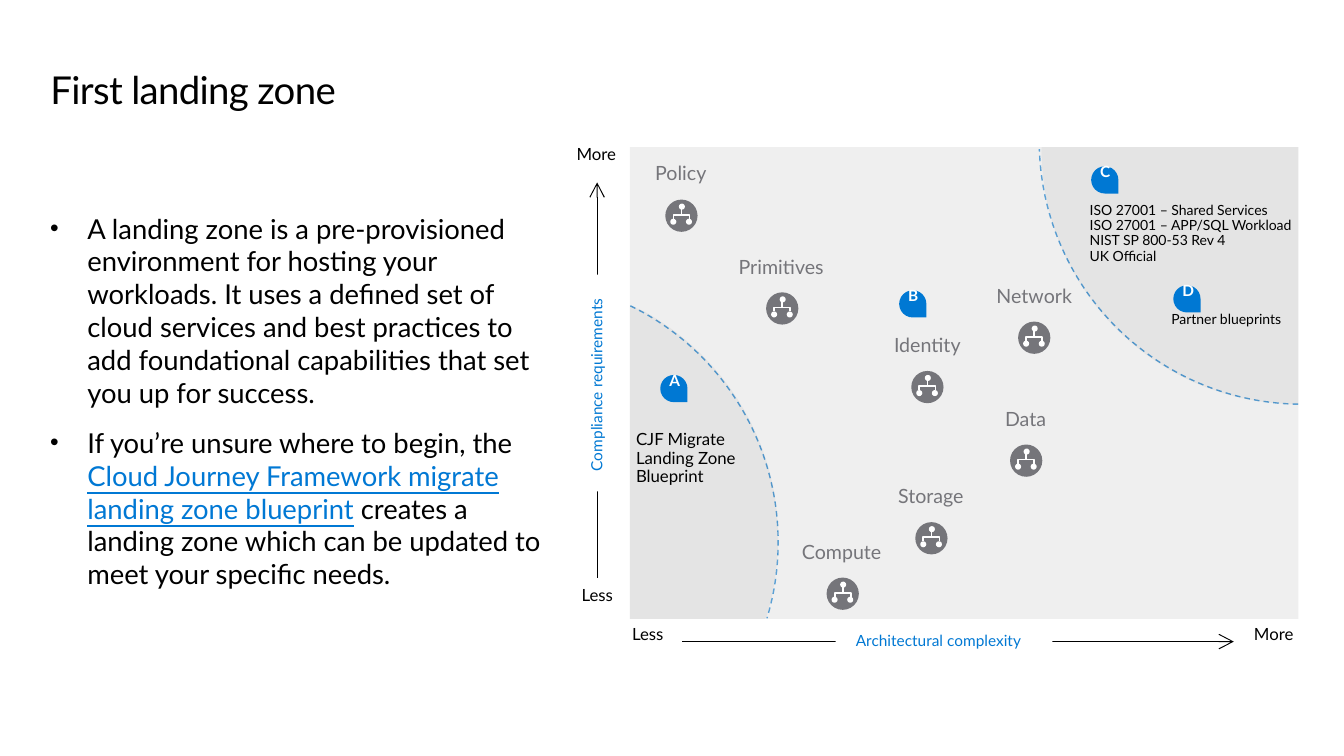
import pptx
import pptx.dml.color
import pptx.enum.dml
import pptx.enum.shapes
import pptx.enum.text
import pptx.oxml
import pptx.oxml.ns
import pptx.util

CELL = pptx.util.Inches(0.1)
COLUMNS, ROWS = 133.33, 75
BLACK, WHITE, GREY, BLUE, LINK, ZONE = "000000", "FFFFFF", "75757A", "0078D3", "0078D4", "BFBFBF"
SHAPES = pptx.enum.shapes.MSO_SHAPE
LEFT = pptx.enum.text.PP_ALIGN.LEFT
CENTER = pptx.enum.text.PP_ALIGN.CENTER
GROW = pptx.enum.text.MSO_AUTO_SIZE.SHAPE_TO_FIT_TEXT
FIXED = pptx.enum.text.MSO_AUTO_SIZE.NONE
MAP_LEFT, MAP_TOP, MAP_RIGHT, MAP_BOTTOM = 62.5, 14.6, 128.8, 61.4
SIMPLE_EDGE = [(62.5, 30.3), (63.9, 30.9), (71.8, 35.3), (77.2, 43.7), (77.2, 53.4),
               (77.2, 56), (76.8, 58.6), (76.1, 61), (75.9, MAP_BOTTOM)]
COMPLEX_EDGE = [(103.3, MAP_TOP), (103.3, 28.7), (114.7, 40.1), (MAP_RIGHT, 40.1)]


def grid(*cells):
    return [round(cell * CELL) for cell in cells]


def apply(target, values):
    for name, value in values.items():
        setattr(target, name, value)


def paint(fill, color):
    fill.solid()
    fill.fore_color.rgb = pptx.dml.color.RGBColor.from_string(color)


def add_xml(parent, tag, **attributes):
    element = pptx.oxml.parse_xml(f"<a:{tag} {pptx.oxml.ns.nsdecls('a')}/>")
    for name, value in attributes.items():
        element.set(name, str(value))
    parent.append(element)


def write(shape, paragraphs, size, color=BLACK, bold=None, align=LEFT, spacing=0.9, after=6,
          inset=(2, 1.6), wrap=False, fit=GROW, anchor=pptx.enum.text.MSO_ANCHOR.TOP, bullet=False):
    side, edge = grid(*inset)
    frame = shape.text_frame
    apply(frame, {"margin_left": side, "margin_right": side, "margin_top": edge,
                  "margin_bottom": edge, "word_wrap": wrap, "auto_size": fit,
                  "vertical_anchor": anchor})
    for index, spans in enumerate(paragraphs):
        para = frame.paragraphs[0] if index == 0 else frame.add_paragraph()
        if bullet:
            properties = para._p.get_or_add_pPr()
            indent, = grid(3.7)
            properties.set("marL", str(indent))
            properties.set("indent", str(-indent))
            add_xml(properties, "buSzPct", val=90000)
            add_xml(properties, "buFont", typeface="Arial")
            add_xml(properties, "buChar", char="•")
        apply(para, {"alignment": align, "line_spacing": spacing,
                     "space_before": pptx.util.Pt(0), "space_after": pptx.util.Pt(after)})
        for text, linked in spans:
            span = para.add_run()
            span.text = text
            apply(span.font, {"name": "Lato", "size": pptx.util.Pt(size), "bold": bold,
                              "underline": linked or None})
            paint(span.font.fill, LINK if linked else color)


def label(page, text, place, size=12, **style):
    box = page.shapes.add_textbox(*grid(*place))
    write(box, [[(line, False)] for line in text.split("\n")], size, **style)


def solid(page, kind, place, color, rotation=0):
    shape = page.shapes.add_shape(kind, *grid(*place))
    shape.shadow.inherit = False
    shape.rotation = rotation
    shape.line.fill.background()
    paint(shape.fill, color)
    return shape


def outline(page, kind, place, color, width, adjustments, rotation=0):
    shape = page.shapes.add_shape(kind, *grid(*place))
    shape.shadow.inherit = False
    shape.rotation = rotation
    shape.fill.background()
    paint(shape.line.fill, color)
    shape.line.width = pptx.util.Pt(width)
    for index, value in enumerate(adjustments):
        shape.adjustments[index] = value
    return shape


def boundary(page, left, top, adjustments):
    arc = outline(page, SHAPES.ARC, (left, top, 52.2, 52.2), BLUE, 1, adjustments)
    arc.line.dash_style = pptx.enum.dml.MSO_LINE.DASH


def connect(page, ends, color, width, arrow=False):
    line = page.shapes.add_connector(pptx.enum.shapes.MSO_CONNECTOR.STRAIGHT, *grid(*ends))
    paint(line.line.fill, color)
    line.line.width = pptx.util.Pt(width)
    if arrow:
        add_xml(line.line._get_or_add_ln(), "tailEnd", type="arrow", w="lg", len="lg")
    add_xml(line._element.spPr, "effectLst")


def zone(page, points, curve_starts, color):
    corners = [grid(*point) for point in points]
    builder = page.shapes.build_freeform(*corners[0])
    builder.add_line_segments(corners[1:], close=True)
    shape = builder.convert_to_shape()
    shape.shadow.inherit = False
    shape.line.fill.background()
    paint(shape.fill, color)
    add_xml(shape._element.spPr.xpath("./a:solidFill/a:srgbClr")[0], "alpha", val=42000)
    segments = list(shape._element.spPr.xpath(".//a:path")[0])
    for start in curve_starts:
        segments[start].tag = pptx.oxml.ns.qn("a:cubicBezTo")
        for segment in segments[start + 1:start + 3]:
            segments[start].append(segment[0])
            segment.getparent().remove(segment)


def axis(page, ends, caption, place, rotation=0):
    connect(page, ends, BLACK, 0.75, arrow=True)
    plate = solid(page, SHAPES.RECTANGLE, place, WHITE, rotation)
    write(plate, [[(caption, False)]], 11, BLUE, fit=FIXED,
          anchor=pptx.enum.text.MSO_ANCHOR.MIDDLE)


def marker(page, letter, left, top):
    solid(page, SHAPES.TEAR, (left, top, 2.7, 2.7), BLUE, 90)
    label(page, letter, (left - 1.1, top - 1, 5, 4.9), 11, color=WHITE, bold=True)


def service(page, name, text_left, text_top, text_width, left, top):
    align = LEFT if name == "Policy" else CENTER
    label(page, name, (text_left, text_top, text_width, 5.4), 14, color=GREY, align=align)
    solid(page, SHAPES.OVAL, (left, top, 3.2, 3.2), GREY)
    outline(page, SHAPES.LEFT_BRACKET, (left + 1.4, top + 0.9, 0.4, 1.6), WHITE, 1.25, [0], 90)
    connect(page, (left + 1.6, top + 1.5, left + 1.6, top + 0.8), WHITE, 1.25)
    for across, down in ((0.5, 1.9), (2.05, 1.9), (1.35, 0.4)):
        solid(page, SHAPES.OVAL, (left + across, top + down, 0.6, 0.6), WHITE)


def add_title(page):
    title = page.shapes.title
    apply(title, dict(zip(("left", "top", "width", "height"), grid(5, 6.8, 123.6, 4.4))))
    write(title, [[("First landing zone", False)]], 27.4, spacing=pptx.util.Pt(31.4),
          after=0, inset=(0, 0), wrap=True)
    title.text_frame.paragraphs[0].runs[0].font._element.set("spc", "-45")


def add_story(page):
    story = page.shapes.add_textbox(*grid(4.97, 21, 49.2, 43))
    write(story, [
        [("A landing zone is a pre-provisioned environment for hosting your workloads. It uses a "
          "defined set of cloud services and best practices to add foundational capabilities that "
          "set you up for success.", False)],
        [("If you’re unsure where to begin, the ", False),
         ("Cloud Journey Framework migrate landing zone blueprint", True),
         (" creates a landing zone which can be updated to meet your specific needs.", False)],
    ], 19.6, spacing=1.0, after=12, inset=(0, 0), wrap=True, bullet=True)


def add_map(page):
    boundary(page, 25, 27.7, (177.6, 10.08))
    boundary(page, 103.1, -12.1, (54.55, 106.96))
    zone(page, [(MAP_RIGHT, MAP_TOP)] + COMPLEX_EDGE, (2,), ZONE)
    zone(page, SIMPLE_EDGE + [(MAP_LEFT, MAP_BOTTOM)], (2, 5), ZONE)
    zone(page, [(MAP_LEFT, MAP_TOP)] + COMPLEX_EDGE + [(MAP_RIGHT, MAP_BOTTOM)]
         + SIMPLE_EDGE[::-1], (2, 8, 11), "D9D9D9")


def main():
    deck = pptx.Presentation()
    deck.slide_width, deck.slide_height = grid(COLUMNS, ROWS)
    page = deck.slides.add_slide(deck.slide_layouts[5])
    paint(page.background.fill, WHITE)
    add_title(page)
    add_story(page)
    add_map(page)
    axis(page, (67.7, 63.65, 122.4, 63.65), "Architectural complexity", (82.9, 62.05, 21.5, 3.2))
    axis(page, (59.24, 57.3, 59.24, 18.1), "Compliance requirements", (48.5, 36.4, 21.5, 3.2), 270)
    for text, left, top, width in (("More", 55.2, 13.6, 8.1), ("Less", 55.7, 57.3, 7.2),
                                   ("Less", 60.7, 61.2, 7.2), ("More", 122.4, 61.2, 8.1)):
        label(page, text, (left, top, width, 5))
    label(page, "ISO 27001 – Shared Services\nISO 27001 – APP/SQL Workload\n"
          "NIST SP 800-53 Rev 4\nUK Official", (106.1, 18.6, 25.6, 9.4), 10, after=0, wrap=True)
    label(page, "Partner blueprints", (114.2, 30.25, 17.5, 4.7), 10, after=0, wrap=True)
    label(page, "CJF Migrate Landing Zone Blueprint", (61.1, 41.2, 15.6, 8.8), wrap=True)
    for letter, left, top in (("A", 65.5, 37.2), ("B", 89.2, 28.8),
                              ("C", 108.25, 16.5), ("D", 116.4, 28.3)):
        marker(page, letter, left, top)
    for details in (("Network", 96.7, 27.4, 11.8, 101, 31.9),
                    ("Identity", 86.45, 32.25, 11.1, 90.4, 36.8),
                    ("Data", 97.6, 39.55, 8.3, 100.2, 44.1),
                    ("Storage", 86.85, 47.25, 11, 90.8, 51.8),
                    ("Compute", 77.3, 52.75, 12.4, 82, 57.3),
                    ("Policy", 63, 15.2, 9.4, 66, 19.8),
                    ("Primitives", 71.05, 24.5, 12.9, 76, 29)):
        service(page, *details)
    deck.save("out.pptx")


if __name__ == "__main__":
    main()
